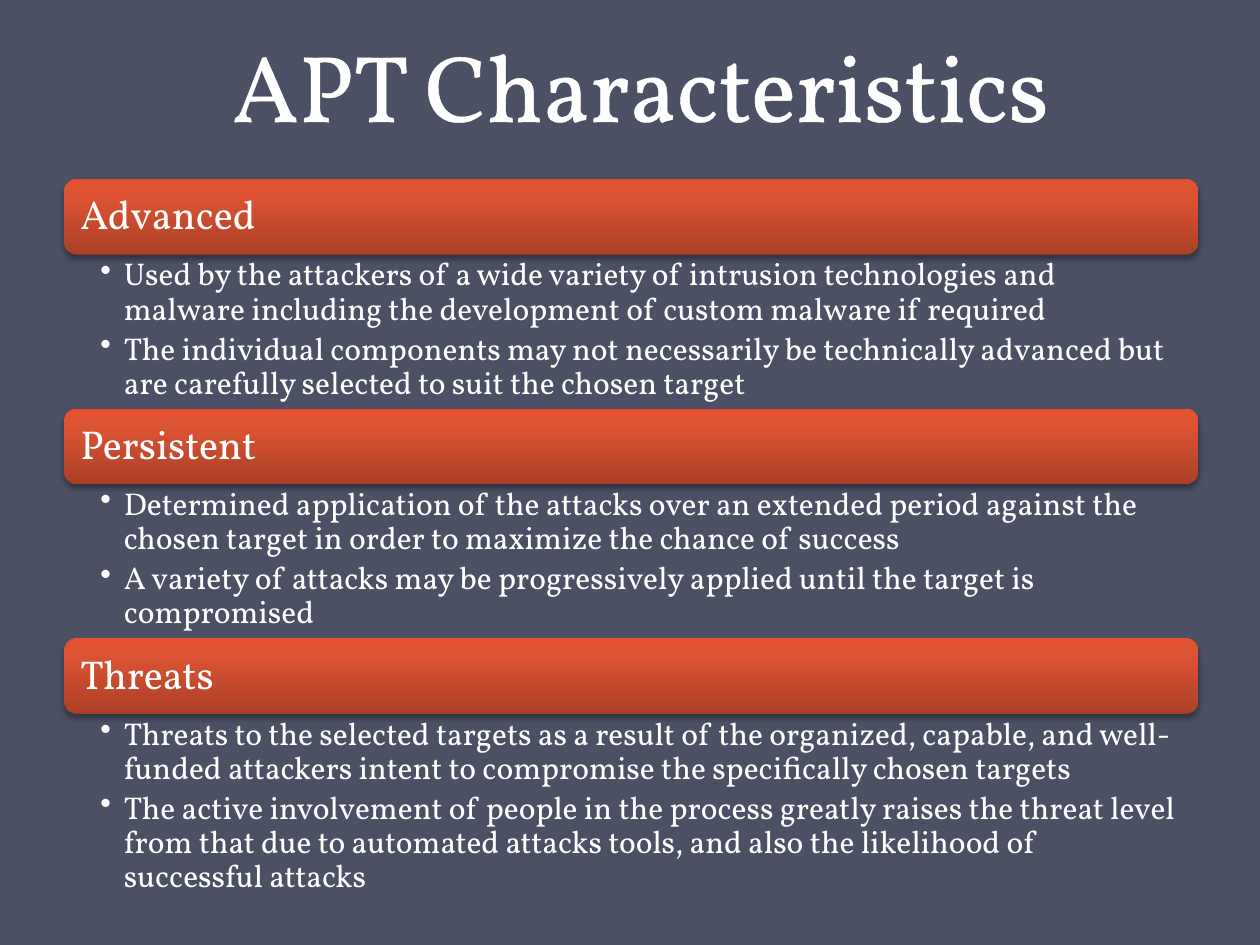
from lxml.etree import SubElement
from pptx import Presentation
from pptx.dml.color import RGBColor
from pptx.enum.shapes import MSO_SHAPE
from pptx.enum.text import MSO_ANCHOR, PP_ALIGN
from pptx.oxml import parse_xml
from pptx.oxml.ns import nsdecls, qn
from pptx.util import Pt

TITLE = "APT Characteristics"
SECTIONS = [
    ("Advanced", [
        "Used by the attackers of a wide variety of intrusion technologies and malware including the development of custom malware if required",
        "The individual components may not necessarily be technically advanced but are carefully selected to suit the chosen target",
    ], 88),
    ("Persistent", [
        "Determined application of the attacks over an extended period against the chosen target in order to maximize the chance of success",
        "A variety of attacks may be progressively applied until the target is compromised",
    ], 88),
    ("Threats", [
        "Threats to the selected targets as a result of the organized, capable, and well-funded attackers intent to compromise the specifically chosen targets",
        "The active involvement of people in the process greatly raises the threat level from that due to automated attacks tools, and also the likelihood of successful attacks",
    ], 106.5),
]
COLORS = {"background": "4B5064", "text": "FFFFFF", "shadow": "000000",
          "bar_bottom": "AB4027", "bar_middle": "DE5433", "bar_top": "E35230"}
BAR_STOPS = [(0, "bar_bottom"), (80, "bar_middle"), (100, "bar_top")]
FONT = "Vollkorn"
LEFT, FIRST_TOP, WIDTH, BAR_HEIGHT = 36.75, 102.4, 648, 43.2


def set_frame(frame, anchor, left, top, right, bottom):
    frame.word_wrap = True
    frame.vertical_anchor = anchor
    frame.margin_left, frame.margin_top = Pt(left), Pt(top)
    frame.margin_right, frame.margin_bottom = Pt(right), Pt(bottom)


def add_text(paragraph, text, size, spacing, align=PP_ALIGN.LEFT):
    paragraph.alignment = align
    paragraph.line_spacing = spacing
    run = paragraph.add_run()
    run.text = text
    run.font.size = Pt(size)
    run.font.name = FONT
    run.font.color.rgb = RGBColor.from_string(COLORS["text"])
    return run


def add_title(slide):
    title = slide.shapes.add_textbox(Pt(42), Pt(-42), Pt(WIDTH), Pt(126))
    set_frame(title.text_frame, MSO_ANCHOR.BOTTOM, 7.2, 3.6, 7.2, 3.6)
    run = add_text(title.text_frame.paragraphs[0], TITLE, 54, Pt(58), PP_ALIGN.CENTER)
    run.font._element.insert(0, parse_xml(
        f'<a:ln {nsdecls("a")} w="{Pt(1.45)}"><a:solidFill>'
        f'<a:srgbClr val="{COLORS["text"]}"/></a:solidFill></a:ln>'))


def add_bar(slide, heading, top):
    bar = slide.shapes.add_shape(
        MSO_SHAPE.ROUNDED_RECTANGLE, Pt(LEFT), Pt(top), Pt(WIDTH), Pt(BAR_HEIGHT))
    bar.line.fill.background()
    bar.fill.gradient()
    bar.fill.gradient_angle = 90
    stops = bar._element.spPr.find(qn("a:gradFill")).find(qn("a:gsLst"))
    stops.clear()
    for percent, color in BAR_STOPS:
        stop = SubElement(stops, qn("a:gs"), pos=str(percent * 1000))
        SubElement(stop, qn("a:srgbClr"), val=COLORS[color])
    bar._element.spPr.append(parse_xml(
        f'<a:effectLst {nsdecls("a")}><a:outerShdw blurRad="{Pt(3.1)}" dist="{Pt(1.8)}" '
        f'dir="5400000" rotWithShape="0"><a:srgbClr val="{COLORS["shadow"]}">'
        '<a:alpha val="35000"/></a:srgbClr></a:outerShdw></a:effectLst>'))
    set_frame(bar.text_frame, MSO_ANCHOR.MIDDLE, 7.2, 7.2, 7.2, 7.2)
    add_text(bar.text_frame.paragraphs[0], heading, 23, 0.9)


def add_points(slide, points, top, height):
    body = slide.shapes.add_textbox(Pt(LEFT), Pt(top), Pt(WIDTH), Pt(height))
    frame = body.text_frame
    set_frame(frame, MSO_ANCHOR.TOP, 20.6, 2.3, 12.8, 2.3)
    for index, point in enumerate(points):
        paragraph = frame.add_paragraph() if index else frame.paragraphs[0]
        add_text(paragraph, point, 18, 0.9)
        paragraph.level = 1
        paragraph.space_after = Pt(3.6)
        properties = paragraph._p.get_or_add_pPr()
        properties.set("marL", str(Pt(13.5)))
        properties.set("indent", str(Pt(-13.5)))
        SubElement(properties, qn("a:buChar"), char="•")


def main():
    deck = Presentation()
    deck.slide_width, deck.slide_height = Pt(720), Pt(540)
    slide = deck.slides.add_slide(deck.slide_layouts[6])
    slide.background.fill.solid()
    slide.background.fill.fore_color.rgb = RGBColor.from_string(COLORS["background"])
    add_title(slide)
    top = FIRST_TOP
    for heading, points, points_height in SECTIONS:
        add_bar(slide, heading, top)
        add_points(slide, points, top + BAR_HEIGHT, points_height)
        top += BAR_HEIGHT + points_height
    deck.save("out.pptx")


if __name__ == "__main__":
    main()
